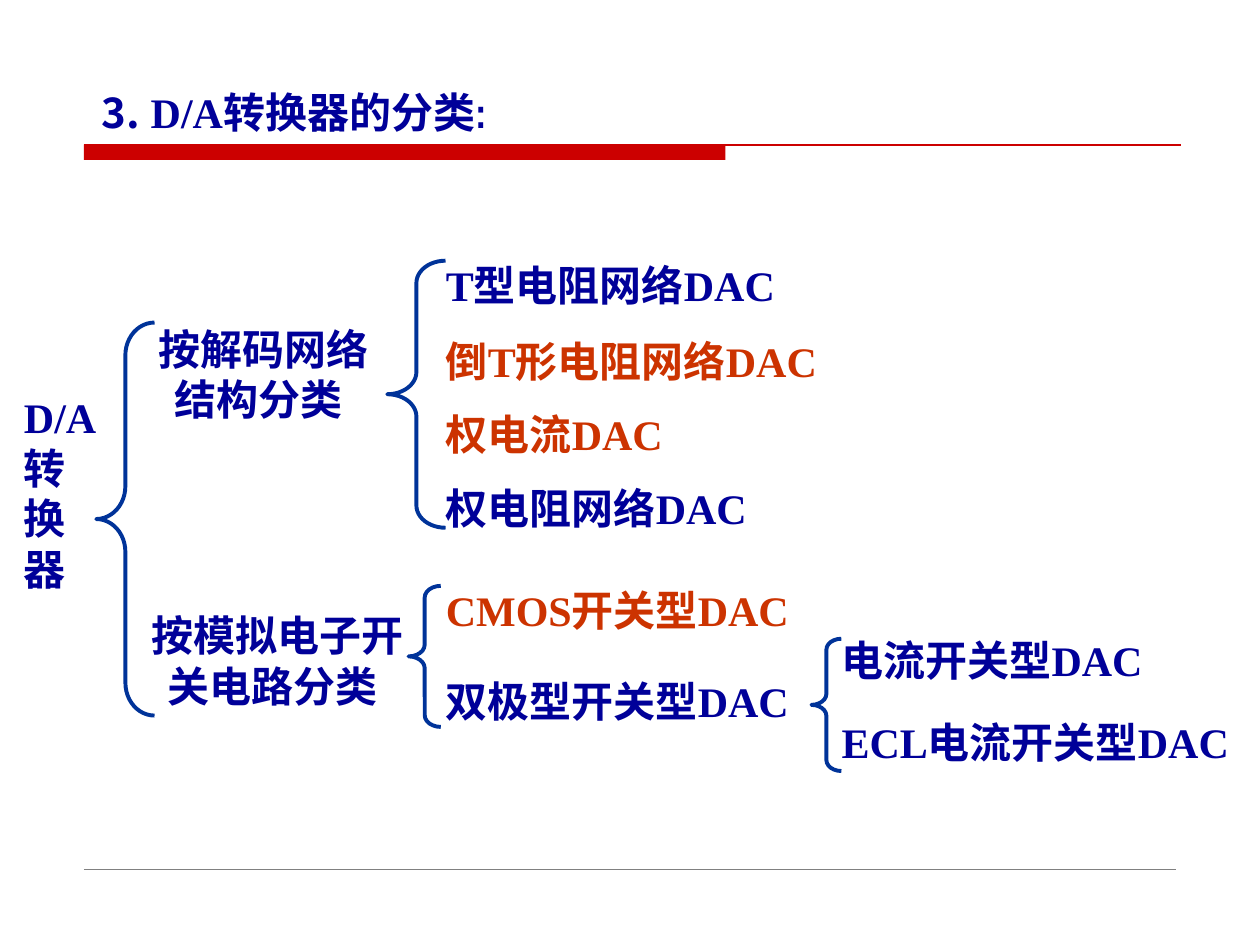
from typing import NamedTuple

import pptx
import pptx.dml.color
import pptx.enum.shapes
import pptx.enum.text
import pptx.oxml.ns
import pptx.util
from lxml import etree

Pt = pptx.util.Pt
Align = pptx.enum.text.PP_ALIGN
Kind = pptx.enum.shapes.MSO_SHAPE

NAVY, RUST, RED, BLUE, GREY = "000099", "CC3300", "CC0000", "003399", "808080"
SERIF, SANS, NARROW = "Times New Roman", "Noto Sans CJK SC", "Arial Narrow"
ROW = 36


class Item(NamedTuple):
    text: str
    left: float
    top: float
    width: float
    color: str = NAVY


class Brace(NamedTuple):
    left: float
    top: float
    width: float
    height: float


GROUPS = [
    Item("按解码网络结构分类 ", 77, 181.4, 146.9),
    Item("按模拟电子开关电路分类 ", 77, 344.9, 163.4),
]
ITEMS = [
    Item("T型电阻网络DAC", 247.7, 144.7, 267.8),
    Item("倒T形电阻网络DAC", 247.7, 187.9, 294.5, RUST),
    Item("权电流DAC", 247.7, 229.7, 340.6, RUST),
    Item("权电阻网络DAC", 247.7, 272.2, 340.6),
    Item("CMOS开关型DAC", 247.7, 330.5, 340.6, RUST),
    Item("双极型开关型DAC", 247.7, 382.3, 340.6),
    Item("电流开关型DAC", 473.8, 359.3, 198.7),
    Item("ECL电流开关型DAC", 473.8, 406.1, 247),
]
BRACES = [
    Brace(55, 184.3, 33.3, 224.6),
    Brace(221.3, 149, 33.3, 152.6),
    Brace(233.5, 334.8, 18.4, 80.6),
    Brace(463.7, 365, 17.1, 75.6),
]


def rgb(code: str) -> pptx.dml.color.RGBColor:
    return pptx.dml.color.RGBColor.from_string(code)


def add_run(para, text: str, font: str, color: str) -> None:
    run = para.add_run()
    run.text = text
    run.font.name = font
    run.font.size = Pt(24)
    run.font.bold = True
    run.font.color.rgb = rgb(color)
    east = etree.SubElement(run.font._element, pptx.oxml.ns.qn("a:ea"))
    east.set("typeface", SANS)


def add_text(slide, left: float, top: float, width: float, height: float,
             runs: list[tuple[str, str]], *, color: str = NAVY,
             align=Align.LEFT, anchor=pptx.enum.text.MSO_ANCHOR.TOP,
             side: float = 7.2, head: float = 3.6, space: float = 1) -> None:
    """Add a text box; runs are (text, font) pairs, newlines break the line."""
    box = slide.shapes.add_textbox(Pt(left), Pt(top), Pt(width), Pt(height))
    frame = box.text_frame
    frame.word_wrap = True
    frame.auto_size = pptx.enum.text.MSO_AUTO_SIZE.SHAPE_TO_FIT_TEXT
    frame.vertical_anchor = anchor
    frame.margin_left = frame.margin_right = Pt(side)
    frame.margin_top, frame.margin_bottom = Pt(head), Pt(3.6)
    para = frame.paragraphs[0]
    para.alignment = align
    para.line_spacing = space
    for text, font in runs:
        for num, line in enumerate(text.splitlines()):
            if num:
                para.add_line_break()
            add_run(para, line, font, color)


def add_brace(slide, brace: Brace) -> None:
    shape = slide.shapes.add_shape(Kind.LEFT_BRACE, *map(Pt, brace))
    shape.adjustments[0] = brace.height / 12 / brace.width
    shape.shadow.inherit = False
    shape.fill.background()
    shape.line.color.rgb = rgb(BLUE)
    shape.line.width = Pt(2.25)


def add_rule(slide, left: float, right: float, top: float,
             color: str, width: float) -> None:
    """Add a horizontal line."""
    rule = slide.shapes.add_connector(
        pptx.enum.shapes.MSO_CONNECTOR.STRAIGHT,
        Pt(left), Pt(top), Pt(right), Pt(top))
    rule.line.color.rgb = rgb(color)
    rule.line.width = Pt(width)
    etree.SubElement(rule._element.spPr, pptx.oxml.ns.qn("a:effectLst"))


def add_bar(slide) -> None:
    bar = slide.shapes.add_shape(Kind.RECTANGLE, Pt(48), Pt(82.6), Pt(366.5), Pt(8.8))
    bar.shadow.inherit = False
    bar.fill.solid()
    bar.fill.fore_color.rgb = rgb(RED)
    bar.line.fill.background()


def main() -> None:
    deck = pptx.Presentation()
    deck.slide_width, deck.slide_height = Pt(720), Pt(540)
    slide = deck.slides.add_slide(deck.slide_layouts[6])

    add_bar(slide)
    add_rule(slide, 48, 674.6, 82.8, RED, 0.75)
    add_rule(slide, 48, 672, 496.8, GREY, 0.25)
    add_text(slide, 51.1, 43.2, 442, 38.9,
             [("3.", SANS), (" D/A", SERIF), ("转换器的分类:", NARROW)],
             align=Align.JUSTIFY, space=1.1)
    for item in GROUPS:
        add_text(slide, item.left, item.top, item.width, 64.8,
                 [(item.text, SERIF)], color=item.color, align=Align.CENTER)
    for item in ITEMS:
        add_text(slide, item.left, item.top, item.width, ROW,
                 [(item.text, SERIF)], color=item.color)
    for brace in BRACES:
        add_brace(slide, brace)
    add_text(slide, 13.7, 223.9, 56.2, 118.8, [("D/A 转\n换\n器", SERIF)],
             anchor=pptx.enum.text.MSO_ANCHOR.MIDDLE, side=0, head=0)

    deck.save("out.pptx")


if __name__ == "__main__":
    main()
